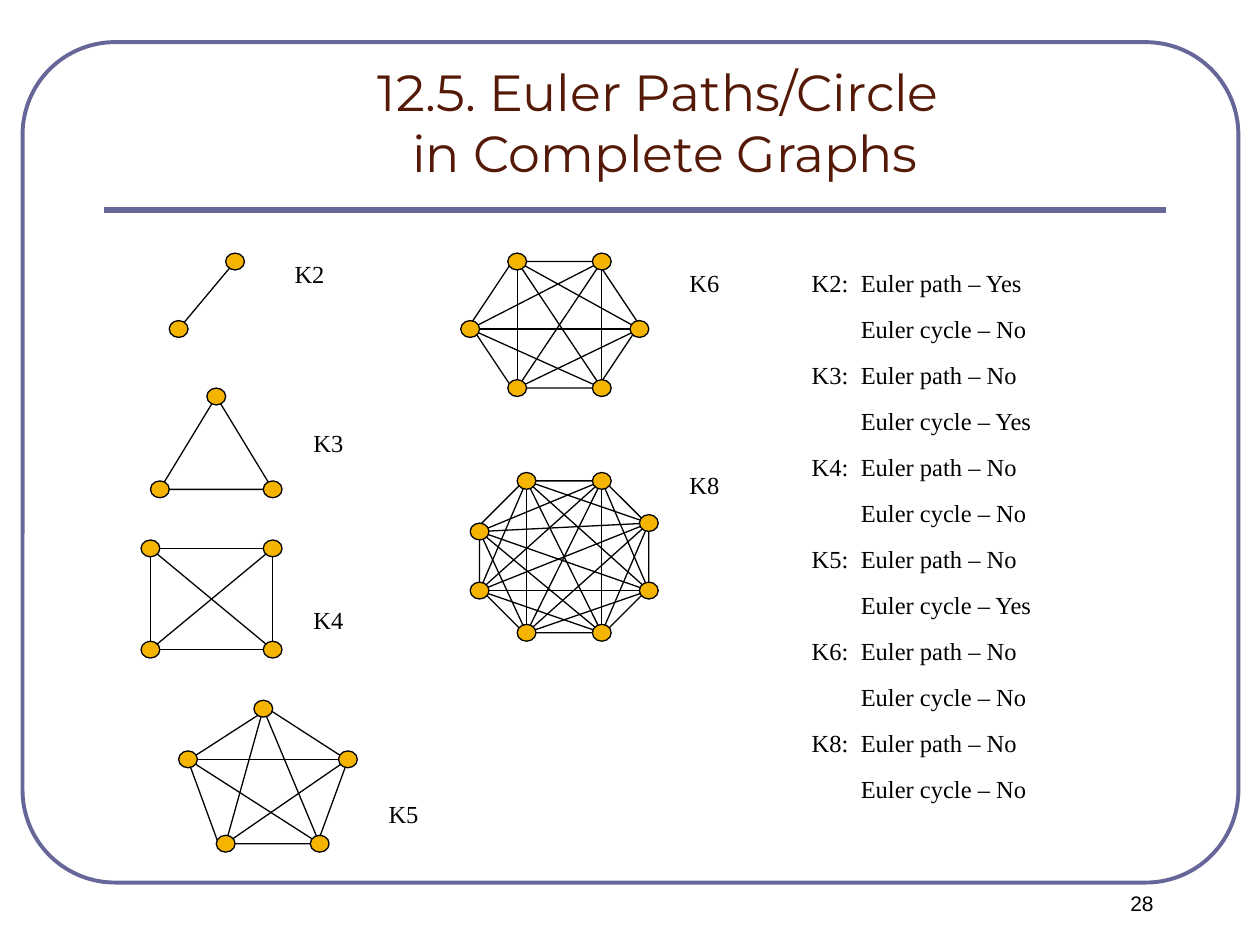
from itertools import combinations

from lxml import etree
from pptx import Presentation
from pptx import util as u
from pptx.dml.color import RGBColor
from pptx.enum import shapes, text
from pptx.oxml.ns import qn

COLS, ROWS = 134, 112
COLORS = {"ink": "000000", "paper": "FFFFFF", "frame": "666699",
          "vertex": "F4B400", "title": "551A07"}
SERIF = "Times New Roman"
PRESET = shapes.MSO_SHAPE

# Label, its cell, outline, and the vertices in order around the outline
GRAPHS = [
    ("K2", (30, 30), None, [(25, 31), (19, 39)]),
    ("K3", (32, 50), PRESET.ISOSCELES_TRIANGLE, [(23, 47), (29, 58), (17, 58)]),
    ("K4", (32, 71), PRESET.RECTANGLE, [(16, 65), (29, 65), (29, 77), (16, 77)]),
    ("K5", (40, 94), PRESET.REGULAR_PENTAGON,
     [(28, 84), (37, 90), (34, 100), (24, 100), (20, 90)]),
    ("K6", (72, 31), PRESET.HEXAGON,
     [(55, 31), (64, 31), (68, 39), (64, 46), (55, 46), (50, 39)]),
    ("K8", (72, 55), PRESET.OCTAGON,
     [(56, 57), (64, 57), (69, 62), (69, 70), (64, 75), (56, 75), (51, 70), (51, 63)]),
]
ADJUSTMENTS = {PRESET.HEXAGON: 0.333, PRESET.OCTAGON: 0.293}

# Graph, Euler path, Euler cycle
RESULTS = [("K2", "Yes", "No"), ("K3", "No", "Yes"), ("K4", "No", "No"),
           ("K5", "No", "Yes"), ("K6", "No", "No"), ("K8", "No", "No")]


class Canvas:
    """Draws on one slide; every length is in columns and rows of the grid."""

    def __init__(self, prs):
        self.s = prs.slides.add_slide(prs.slide_layouts[6])
        self.col = prs.slide_width / COLS
        self.row = prs.slide_height / ROWS

    def emu(self, *cells):
        """Turn alternating columns and rows into slide units."""
        return [round(c * (self.row if i % 2 else self.col))
                for i, c in enumerate(cells)]

    def stroke(self, line, color, width):
        line.color.rgb = RGBColor.from_string(COLORS[color])
        line.width = u.Pt(width)

    def shape(self, preset, box, fill=None, line="ink", width=0.75, adj=None):
        sp = self.s.shapes.add_shape(preset, *self.emu(*box))
        sp.shadow.inherit = False
        if fill:
            sp.fill.solid()
            sp.fill.fore_color.rgb = RGBColor.from_string(COLORS[fill])
        else:
            sp.fill.background()
        self.stroke(sp.line, line, width)
        if adj:
            sp.adjustments[0] = adj

    def line(self, start, end, color="ink", width=0.75):
        cx = self.s.shapes.add_connector(shapes.MSO_CONNECTOR.STRAIGHT,
                                         *self.emu(*start, *end))
        self.stroke(cx.line, color, width)
        etree.SubElement(cx._element.spPr, qn("a:effectLst"))

    def text(self, box, lines, font=SERIF, size=14, color="ink",
             align=text.PP_ALIGN.LEFT, anchor=text.MSO_ANCHOR.TOP, before=0):
        tf = self.s.shapes.add_textbox(*self.emu(*box)).text_frame
        tf.word_wrap = True
        tf.vertical_anchor = anchor
        tf.text = "\n".join(lines)
        for p in tf.paragraphs:
            p.alignment = align
            p.space_before = u.Pt(before)
            for r in p.runs:
                r.font.name, r.font.size = font, u.Pt(size)
                r.font.color.rgb = RGBColor.from_string(COLORS[color])
        return tf

    def graph(self, label, cell, outline, vertices):
        """Draw a complete graph: outline, remaining edges, vertices, label."""
        if outline:
            xs, ys = zip(*vertices)
            box = min(xs), min(ys), max(xs) - min(xs), max(ys) - min(ys)
            self.shape(outline, box, "paper", adj=ADJUSTMENTS.get(outline))
        n = len(vertices)
        for i, j in combinations(range(n), 2):
            if not outline or j - i not in (1, n - 1):
                self.line(vertices[i], vertices[j])
        for x, y in vertices:
            self.shape(PRESET.OVAL, (x - 1, y - 1, 2, 2), "vertex")
        self.text((*cell, 7, 5), [label])

    def results(self, box, rows):
        """List path and cycle answers with the graph names hanging left."""
        lines = [line for name, path, cycle in rows
                 for line in (f"{name}:\tEuler path – {path}", f"Euler cycle – {cycle}")]
        tf = self.text(box, lines, before=9.5)
        indent = u.Inches(0.39)
        for i, p in enumerate(tf.paragraphs):
            pPr = p._p.get_or_add_pPr()
            pPr.set("marL", str(indent))
            pPr.set("indent", str(0 if i % 2 else -indent))


def main():
    prs = Presentation()
    prs.slide_width, prs.slide_height = u.Inches(10), u.Inches(7.5)
    c = Canvas(prs)
    center = text.PP_ALIGN.CENTER
    c.shape(PRESET.ROUNDED_RECTANGLE, (2.4, 5, 129.3, 99.6),
            line="frame", width=2.25, adj=0.11)
    c.line((11.1, 24.9), (124, 24.9), "frame", 3)
    c.text((113, 104.8, 16.9, 7.5), ["28"], "Arial", 12, align=center)
    c.text((11.1, 6.3, 119.3, 16.1), ["12.5. Euler Paths/Circle \vin Complete Graphs"],
           "Montserrat", 29, "title", center, text.MSO_ANCHOR.BOTTOM)
    for graph in GRAPHS:
        c.graph(*graph)
    c.results((85, 31, 40, 69), RESULTS)
    prs.save("out.pptx")


if __name__ == "__main__":
    main()
